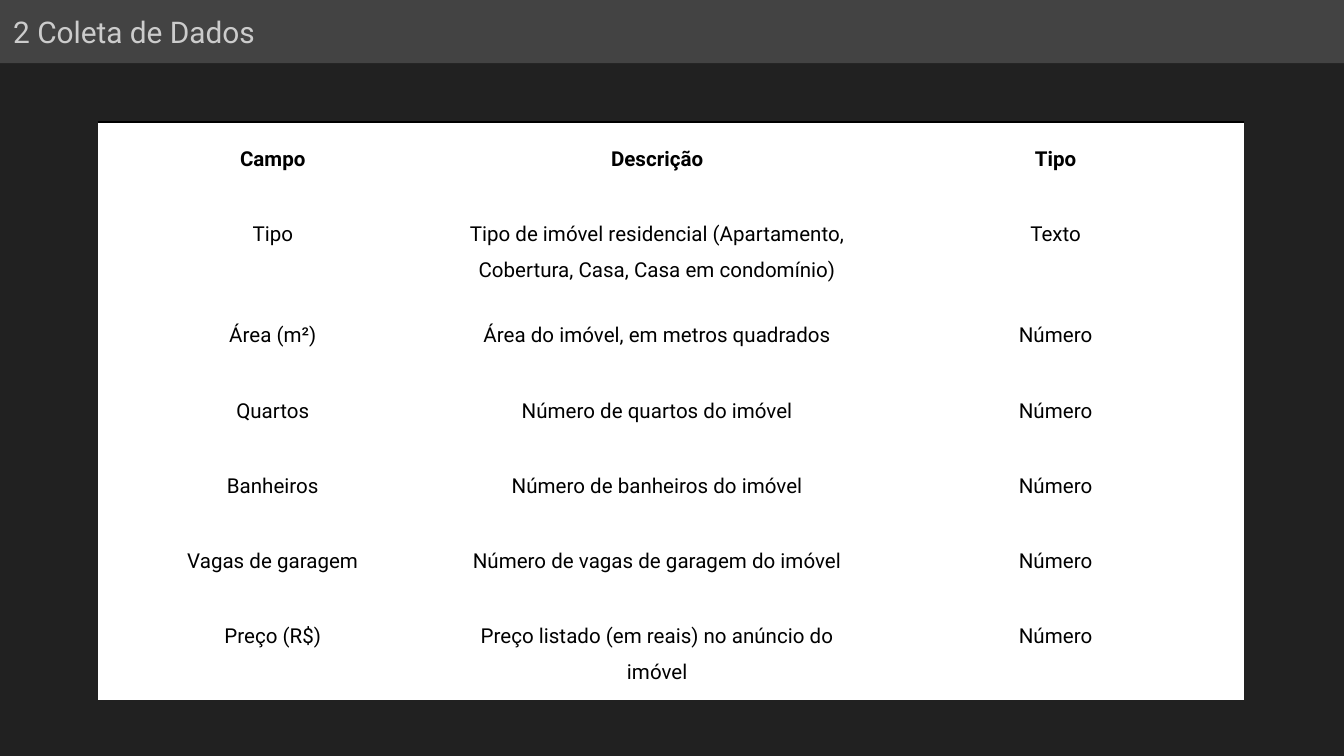
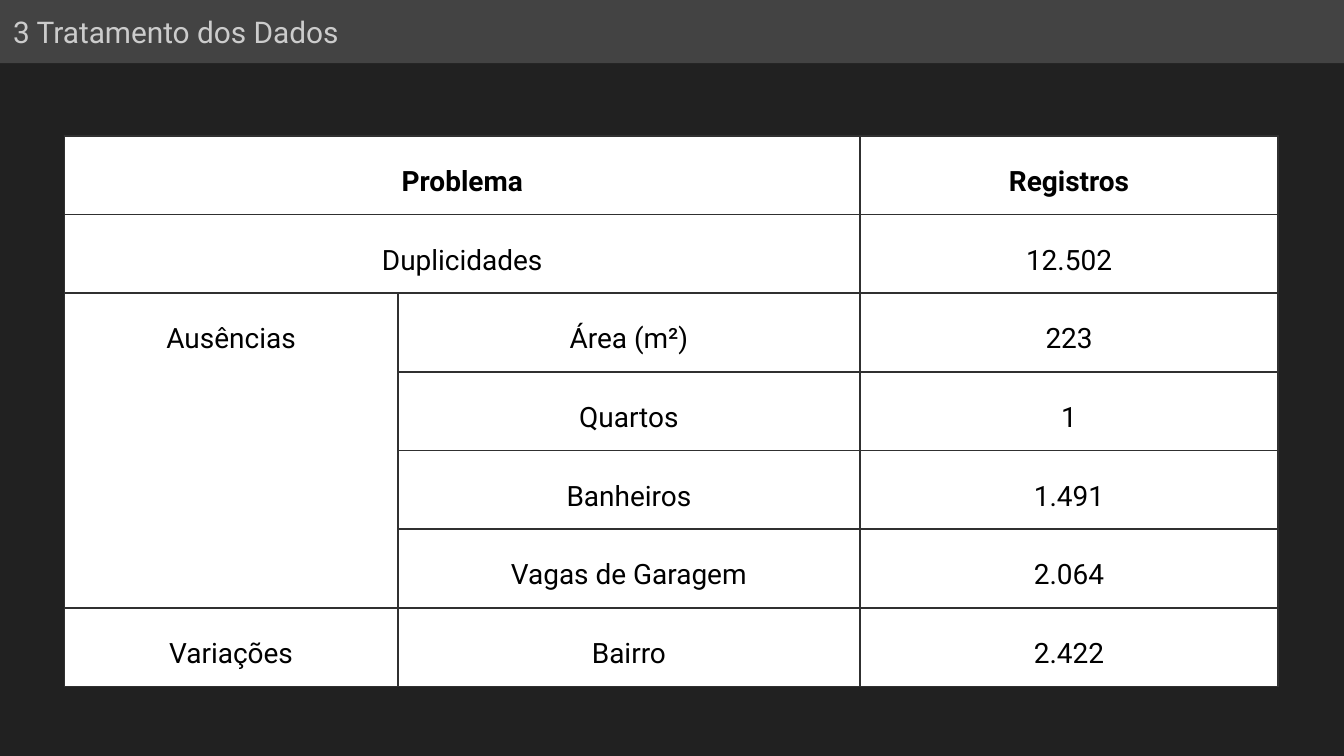
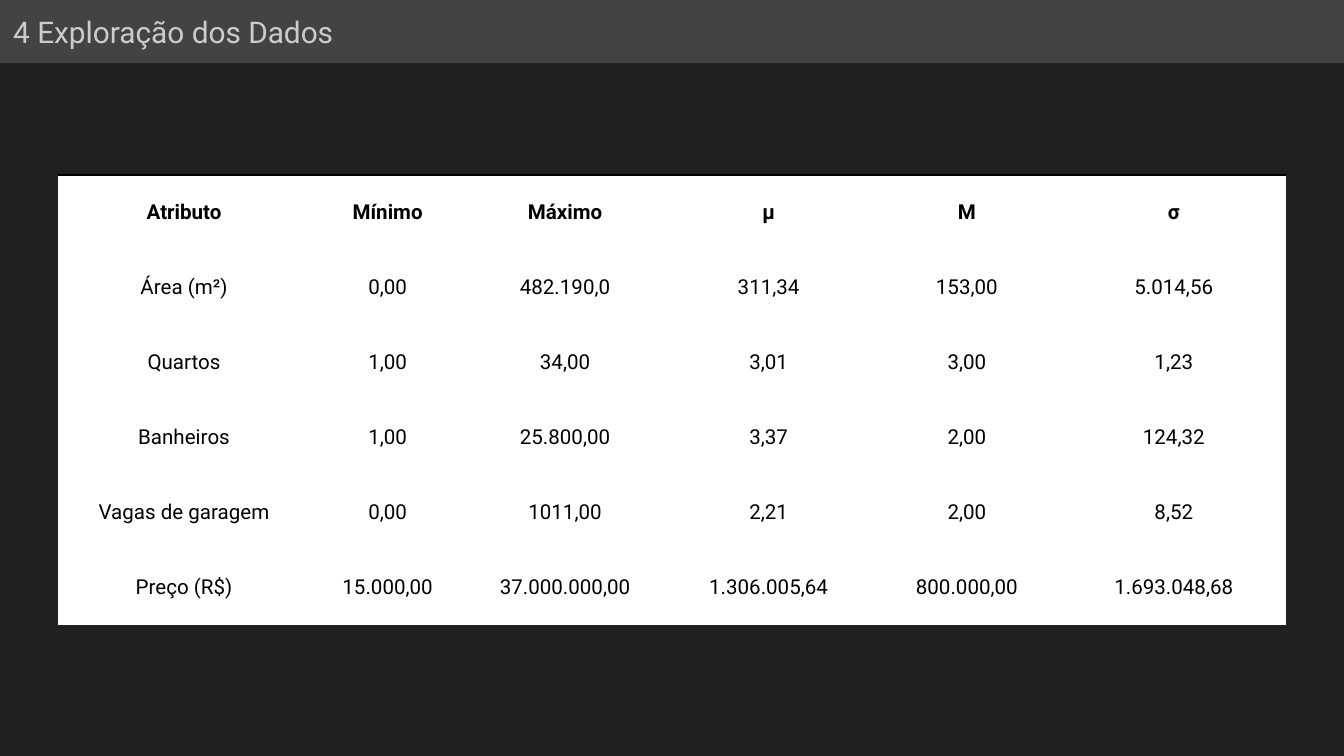
from lxml.etree import SubElement
from pptx import Presentation
from pptx.dml.color import RGBColor
from pptx.enum.shapes import MSO_SHAPE
from pptx.enum.text import MSO_ANCHOR, MSO_AUTO_SIZE, PP_ALIGN
from pptx.oxml import parse_xml
from pptx.oxml.ns import nsdecls, qn
from pptx.util import Inches, Pt

COLORS = {
    "background": "212121",
    "band": "434343",
    "title": "CCCCCC",
    "text": "000000",
    "cell": "FFFFFF",
    "rule": "000000",
    "grid": "303030",
}
FONT = "Roboto"
SIDES = ("L", "R", "T", "B")

FIELDS = [
    ("Campo", "Descrição", "Tipo"),
    ("Tipo", "Tipo de imóvel residencial (Apartamento, Cobertura, Casa, Casa em condomínio)", "Texto"),
    ("Área (m²)", "Área do imóvel, em metros quadrados", "Número"),
    ("Quartos", "Número de quartos do imóvel", "Número"),
    ("Banheiros", "Número de banheiros do imóvel", "Número"),
    ("Vagas de garagem", "Número de vagas de garagem do imóvel", "Número"),
    ("Preço (R$)", "Preço listado (em reais) no anúncio do imóvel", "Número"),
]
# None marks a cell covered by a merge
PROBLEMS = [
    ("Problema", None, "Registros"),
    ("Duplicidades", None, "12.502"),
    ("Ausências", "Área (m²)", "223"),
    (None, "Quartos", "1"),
    (None, "Banheiros", "1.491"),
    (None, "Vagas de Garagem", "2.064"),
    ("Variações", "Bairro", "2.422"),
]
STATISTICS = [
    ("Atributo", "Mínimo", "Máximo", "μ", "M", "σ"),
    ("Área (m²)", "0,00", "482.190,0", "311,34", "153,00", "5.014,56"),
    ("Quartos", "1,00", "34,00", "3,01", "3,00", "1,23"),
    ("Banheiros", "1,00", "25.800,00", "3,37", "2,00", "124,32"),
    ("Vagas de garagem", "0,00", "1011,00", "2,21", "2,00", "8,52"),
    ("Preço (R$)", "15.000,00", "37.000.000,00", "1.306.005,64", "800.000,00", "1.693.048,68"),
]


def rgb(name):
    return RGBColor.from_string(COLORS[name])


def set_borders(cell, borders):
    """Draw 1 pt borders on the sides in borders (side -> colour name); hide the rest."""
    properties = cell._tc.get_or_add_tcPr()
    for index, side in enumerate(SIDES):
        line = parse_xml(f'<a:ln{side} {nsdecls("a")} w="{Pt(1)}"/>')
        if side in borders:
            fill = SubElement(line, qn("a:solidFill"))
            SubElement(fill, qn("a:srgbClr"), val=COLORS[borders[side]])
        else:
            SubElement(line, qn("a:noFill"))
        properties.insert(index, line)


class Deck:
    def __init__(self):
        self.presentation = Presentation()
        self.presentation.slide_width = Inches(10)
        self.presentation.slide_height = int(Inches(10) * 9 / 16)
        self.slide = None

    def add_slide(self, title):
        self.slide = self.presentation.slides.add_slide(self.presentation.slide_layouts[6])
        background = self.slide.background.fill
        background.solid()
        background.fore_color.rgb = rgb("background")
        self.title_band(title)

    def title_band(self, title):
        band = self.slide.shapes.add_shape(
            MSO_SHAPE.RECTANGLE, 0, 0, self.presentation.slide_width, Inches(0.47))
        band.shadow.inherit = False
        band.fill.solid()
        band.fill.fore_color.rgb = rgb("band")
        band.line.fill.background()
        frame = band.text_frame
        frame.margin_left = frame.margin_right = Inches(0.1)
        frame.margin_top = frame.margin_bottom = Inches(0.1)
        frame.vertical_anchor = MSO_ANCHOR.TOP
        frame.word_wrap = True
        frame.auto_size = MSO_AUTO_SIZE.SHAPE_TO_FIT_TEXT
        self.styled_text(frame, title, 16, "title", PP_ALIGN.LEFT)

    def styled_text(self, frame, text, size, color, align, bold=False):
        frame.text = text
        paragraph = frame.paragraphs[0]
        paragraph.alignment = align
        font = paragraph.font
        font.name, font.size, font.bold = FONT, Pt(size), bold
        font.color.rgb = rgb(color)
        return paragraph

    def table(self, left, top, height, widths, rows, size, merges=(), grid=False, row_height=None):
        """Add a table; merges holds (first row, first column, last row, last column)."""
        holder = self.slide.shapes.add_table(
            len(rows), len(widths), Inches(left), Inches(top),
            Inches(sum(widths)), Inches(height))
        table = holder.table
        table.first_row = table.horz_banding = False
        for column, width in zip(table.columns, widths):
            column.width = Inches(width)
        for row in table.rows:
            row.height = Inches(row_height or height / len(rows))
        holder.height = Inches(height)
        for row, values in enumerate(rows):
            if grid:
                borders = dict.fromkeys(SIDES, "grid")
            else:
                borders = {"T": "rule"} if row == 0 else {}
            for column, value in enumerate(values):
                self.fill_cell(table.cell(row, column), value, size, row == 0, borders)
        for row, column, last_row, last_column in merges:
            table.cell(row, column).merge(table.cell(last_row, last_column))

    def fill_cell(self, cell, value, size, bold, borders):
        cell.fill.solid()
        cell.fill.fore_color.rgb = rgb("cell")
        cell.margin_left = cell.margin_right = Inches(0.07)
        cell.margin_top = cell.margin_bottom = Inches(0.1)
        set_borders(cell, borders)
        if value is not None:
            paragraph = self.styled_text(cell.text_frame, value, size, "text", PP_ALIGN.CENTER, bold)
            paragraph.line_spacing = 1.5


def main():
    deck = Deck()

    deck.add_slide("2 Coleta de Dados")
    deck.table(0.73, 0.91, 4.23, (2.6, 3.12, 2.81), FIELDS, 11, row_height=0.56)

    deck.add_slide("3 Tratamento dos Dados")
    deck.table(0.48, 1.01, 4.1, (2.48, 3.44, 3.11), PROBLEMS, 15, grid=True,
               merges=[(0, 0, 0, 1), (1, 0, 1, 1), (2, 0, 5, 0)])

    deck.add_slide("4 Exploração dos Dados")
    deck.table(0.43, 1.3, 3.35, (1.88, 1.15, 1.49, 1.54, 1.41, 1.67), STATISTICS, 11)

    deck.presentation.save("out.pptx")


if __name__ == "__main__":
    main()
